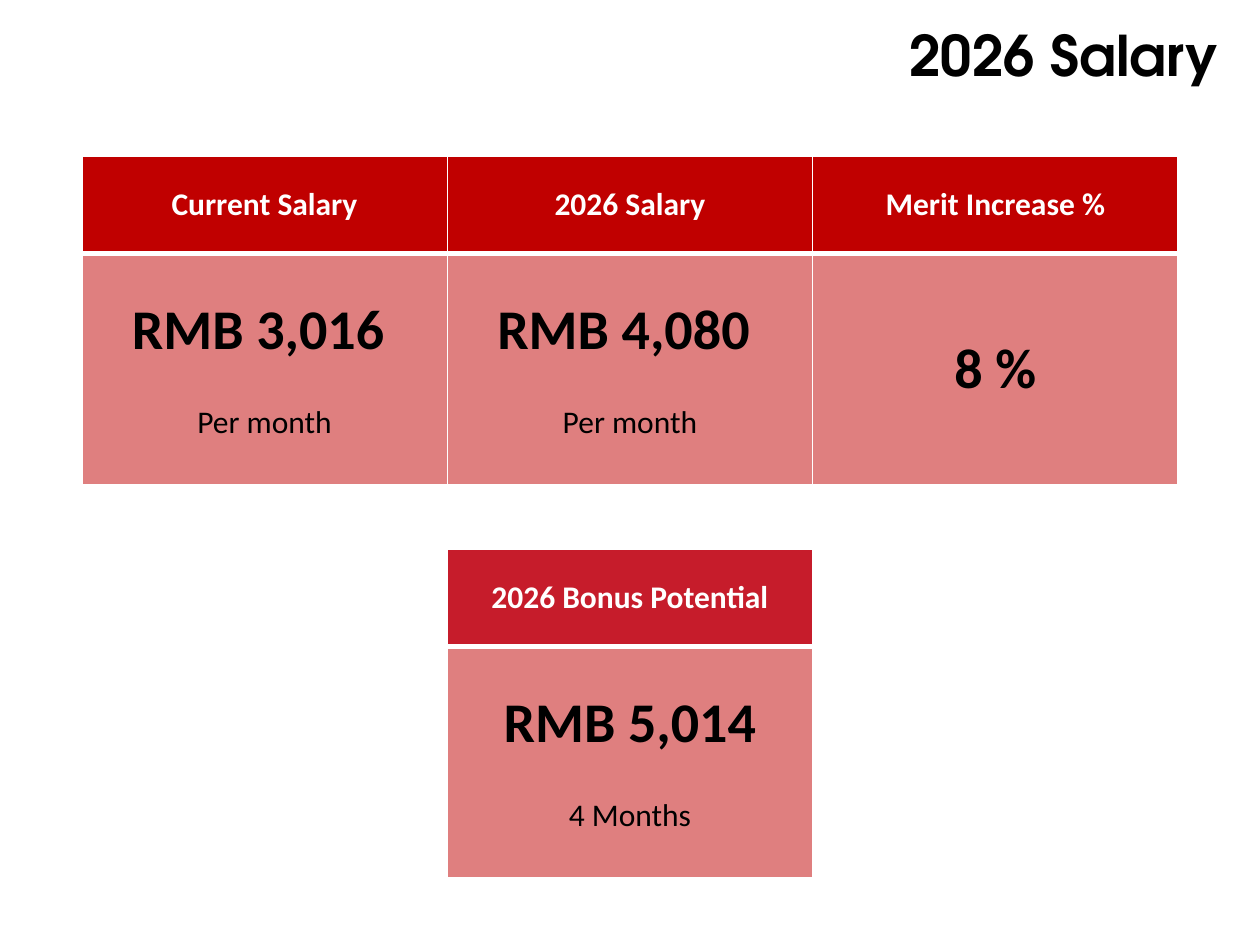
from lxml.etree import SubElement
from pptx import Presentation
from pptx.dml.color import RGBColor
from pptx.enum.text import MSO_ANCHOR, PP_ALIGN
from pptx.oxml.ns import qn
from pptx.util import Inches, Pt

# Card grid, in inches
LEFT, TOP = 0.65, 1.24
COLUMN, ROW = 2.9, 3.12
HEADER, BODY = 0.77, 1.84

RED, CRIMSON, PINK = "C00000", "C61C2B", "DF7F7F"
WHITE, BLACK = "FFFFFF", "000000"


def colour(code):
    return RGBColor.from_string(code)


class SalarySlide:
    title_font = "TeX Gyre Adventor"
    body_font = "Calibri"

    def __init__(self, deck):
        self.page = deck.slides.add_slide(deck.slide_layouts[6])

    def add_text(self, para, text, size, shade=BLACK, bold=True, font=None,
                 align=PP_ALIGN.CENTER):
        para.alignment = align
        span = para.add_run()
        span.text = text
        span.font.name = font or self.body_font
        span.font.size = Pt(size)
        span.font.bold = bold
        span.font.color.rgb = colour(shade)

    def title(self, text):
        box = self.page.shapes.add_textbox(
            Inches(3.51), Inches(0.11), Inches(6.26), Inches(1.11))
        box.text_frame.word_wrap = True
        self.add_text(box.text_frame.paragraphs[0], text, 32,
                      font=self.title_font, align=PP_ALIGN.RIGHT)

    def style_cell(self, cell, fill, opacity=100, **thick):
        """Fill a cell and give it white borders, 1 pt unless named thicker."""
        cell.vertical_anchor = MSO_ANCHOR.MIDDLE
        properties = cell._tc.get_or_add_tcPr()
        for side in "LRTB":
            width = Pt(thick.get(side, 1))
            line = SubElement(properties, qn(f"a:ln{side}"), w=str(width))
            paint = SubElement(line, qn("a:solidFill"))
            SubElement(paint, qn("a:srgbClr"), val=WHITE)
        cell.fill.solid()
        cell.fill.fore_color.rgb = colour(fill)
        if opacity < 100:
            shade = properties.find(qn("a:solidFill")).find(qn("a:srgbClr"))
            SubElement(shade, qn("a:alpha"), val=str(opacity * 1000))

    def card(self, column, row, heading, amount, note=None,
             header_fill=RED, body_fill=RED, opacity=50):
        table = self.page.shapes.add_table(
            2, 1, Inches(LEFT + column * COLUMN), Inches(TOP + row * ROW),
            Inches(COLUMN), Inches(HEADER + BODY)).table
        table.horz_banding = False
        table.rows[0].height = Inches(HEADER)
        table.rows[1].height = Inches(BODY)

        # Header cell
        header, body = table.cell(0, 0), table.cell(1, 0)
        self.style_cell(header, header_fill, B=3)
        self.add_text(header.text_frame.paragraphs[0], heading, 18, WHITE)

        # Amount with an optional note below it
        self.style_cell(body, body_fill, opacity, T=3)
        self.add_text(body.text_frame.paragraphs[0], amount, 32)
        if note:
            para = body.text_frame.add_paragraph()
            para.space_before = Pt(22)
            self.add_text(para, note, 18, bold=False)


def main():
    deck = Presentation()
    deck.slide_width, deck.slide_height = Inches(10), Inches(7.5)
    slide = SalarySlide(deck)
    slide.title("2026 Salary")

    # Salary row, then the bonus below its middle column
    slide.card(0, 0, "Current Salary", "RMB 3,016 ", "Per month")
    slide.card(1, 0, "2026 Salary", "RMB 4,080 ", "Per month")
    slide.card(2, 0, "Merit Increase %", "8 %")
    slide.card(1, 1, "2026 Bonus Potential", "RMB 5,014", "4 Months",
               header_fill=CRIMSON, body_fill=PINK, opacity=100)
    deck.save("out.pptx")


if __name__ == "__main__":
    main()
